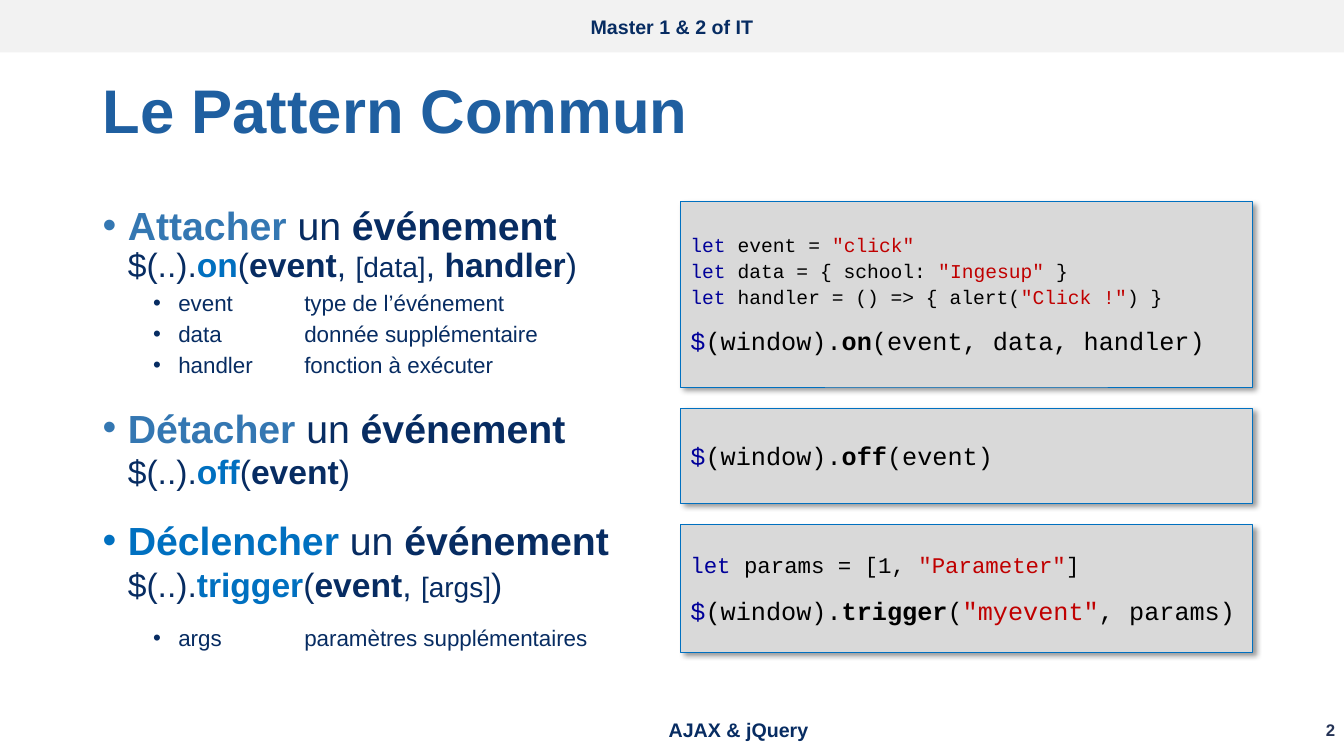
"""Build the slide on the common jQuery event pattern."""
from lxml import etree
from pptx import Presentation
from pptx.dml.color import RGBColor
from pptx.enum.shapes import MSO_SHAPE
from pptx.enum.text import MSO_ANCHOR, PP_ALIGN
from pptx.oxml import parse_xml
from pptx.oxml.ns import nsdecls, qn
from pptx.util import Inches, Pt

RECT = MSO_SHAPE.RECTANGLE
TOP, MIDDLE = MSO_ANCHOR.TOP, MSO_ANCHOR.MIDDLE
LEFT, CENTER, RIGHT = PP_ALIGN.LEFT, PP_ALIGN.CENTER, PP_ALIGN.RIGHT
COLORS = {
    "navy": "072C62", "title": "1F5FA0", "steel": "3477B2", "blue": "0070C0",
    "page": "253356", "band": "F2F2F2", "panel": "D9D9D9",
    "key": "000099", "code": "000000", "string": "C00000",
}
SHADOW = (
    f'<a:outerShdw {nsdecls("a")} blurRad="50800" dist="38100" dir="2700000" '
    'algn="tl" rotWithShape="0"><a:srgbClr val="000000">'
    '<a:alpha val="40000"/></a:srgbClr></a:outerShdw>'
)


def color(name):
    return RGBColor.from_string(COLORS[name])


def add_bullet(para, left):
    props = para._p.get_or_add_pPr()
    props.set("marL", str(Inches(left)))
    props.set("indent", str(-Inches(0.25)))
    props.set("defTabSz", str(Inches(1)))
    etree.SubElement(props, qn("a:buFont")).set("typeface", "Arial")
    etree.SubElement(props, qn("a:buChar")).set("char", "•")


def add_text(para, text, size=16, tint="navy", bold=False, font="Arial"):
    run = para.add_run()
    run.text = text
    run.font.name, run.font.size, run.font.bold = font, Pt(size), bold
    run.font.color.rgb = color(tint)


def set_frame(shape, anchor=MIDDLE):
    frame = shape.text_frame
    frame.word_wrap, frame.vertical_anchor = True, anchor
    return frame


def next_para(frame, before):
    para = frame.paragraphs[0]
    if para.runs:
        para = frame.add_paragraph()
        para.space_before = Pt(before)
    return para


def add_label(slide, box, text, align=LEFT, spacing=1.0, **style):
    shape = slide.shapes.add_textbox(*map(Inches, box))
    para = set_frame(shape).paragraphs[0]
    para.alignment, para.line_spacing = align, spacing
    add_text(para, text, **style)


def add_rect(slide, box, fill):
    shape = slide.shapes.add_shape(RECT, *map(Inches, box))
    shape.shadow.inherit = False
    shape.fill.solid()
    shape.fill.fore_color.rgb = color(fill)
    shape.line.fill.background()
    return shape


def add_header(slide, text):
    shape = add_rect(slide, (0, 0, 13.33, 0.52), "band")
    para = set_frame(shape).paragraphs[0]
    para.alignment = CENTER
    add_text(para, text, size=14, bold=True)


def add_topic(frame, verb, tint, method, args, spacing=1.0):
    para = next_para(frame, 18)
    para.line_spacing = spacing
    add_bullet(para, 0.25)
    add_text(para, verb, size=28, tint=tint, bold=True)
    add_text(para, " un ", size=28)
    add_text(para, "événement", size=28, bold=True)
    para.add_line_break()
    add_text(para, "$(..).", size=24)
    add_text(para, method, size=24, tint="blue", bold=True)
    add_text(para, "(", size=24)
    for i, arg in enumerate(args):
        if i:
            add_text(para, ", ", size=24)
        extra = arg.startswith("[")
        add_text(para, arg, size=20 if extra else 24, bold=not extra)
    add_text(para, ")", size=24)


def add_args(frame, rows, spacing=0.9):
    for name, note in rows:
        para = next_para(frame, 5)
        para.level, para.line_spacing = 1, spacing
        add_bullet(para, 0.75)
        add_text(para, f"{name}\t{note}")


def add_code(slide, top, height, lines):
    shape = add_rect(slide, (6.75, top, 5.67, height), "panel")
    shape.line.color.rgb = color("blue")
    shape.line.width = Pt(0.5)
    shape._element.spPr.find(qn("a:effectLst")).append(parse_xml(SHADOW))
    frame = set_frame(shape)
    for size, before, runs in lines:
        para = next_para(frame, before)
        para.alignment = LEFT
        for text, tint in runs:
            bold = tint == "bold"
            add_text(para, text, size=size, tint="code" if bold else tint,
                     bold=bold, font="Courier New")


def call(method, *args):
    start = [("$", "key"), ("(window).", "code"), (method, "bold")]
    return 18, 12, start + list(args)


def let(size, *runs):
    return size, 2, [("let", "key"), *runs]


def main():
    deck = Presentation()
    deck.slide_width, deck.slide_height = Inches(13.33), Inches(7.5)
    slide = deck.slides.add_slide(deck.slide_layouts[6])

    add_header(slide, "Master 1 & 2 of IT")
    add_label(slide, (12.42, 6.98, 0.92, 0.52), "2", align=RIGHT,
              size=12, tint="page", bold=True)
    add_label(slide, (0.92, 0.4, 11.5, 1.45), "Le Pattern Commun",
              spacing=0.9, size=44, tint="title", bold=True)
    add_label(slide, (2.23, 6.98, 10.19, 0.52), "AJAX & jQuery", align=CENTER,
              size=14, bold=True)

    body = slide.shapes.add_textbox(*map(Inches, (0.92, 2, 5.64, 4.77)))
    frame = set_frame(body, TOP)
    add_topic(frame, "Attacher", "steel", "on",
              ["event", "[data]", "handler"], spacing=0.9)
    add_args(frame, [("event", "type de l’événement"),
                     ("data", "donnée supplémentaire"),
                     ("handler", "fonction à exécuter")])
    add_topic(frame, "Détacher", "steel", "off", ["event"])
    add_topic(frame, "Déclencher", "blue", "trigger", ["event", "[args]"])
    add_args(frame, [("args", "paramètres supplémentaires")], spacing=1.5)

    add_code(slide, 2, 1.84, [
        let(14, (" event = ", "code"), ('"click"', "string")),
        let(14, (" data = { school: ", "code"), ('"Ingesup"', "string"),
            (" }", "code")),
        let(14, (" handler = () => { alert(", "code"),
            ('"Click !"', "string"), (") }", "code")),
        call("on", ("(event, data, handler)", "code")),
    ])
    add_code(slide, 4.05, 0.94, [call("off", ("(event)", "code"))])
    add_code(slide, 5.2, 1.27, [
        let(16, (" params = [1, ", "code"), ('"Parameter"', "string"),
            ("]", "code")),
        call("trigger", ("(", "code"), ('"myevent"', "string"),
             (", params)", "code")),
    ])
    deck.save("out.pptx")


if __name__ == "__main__":
    main()
